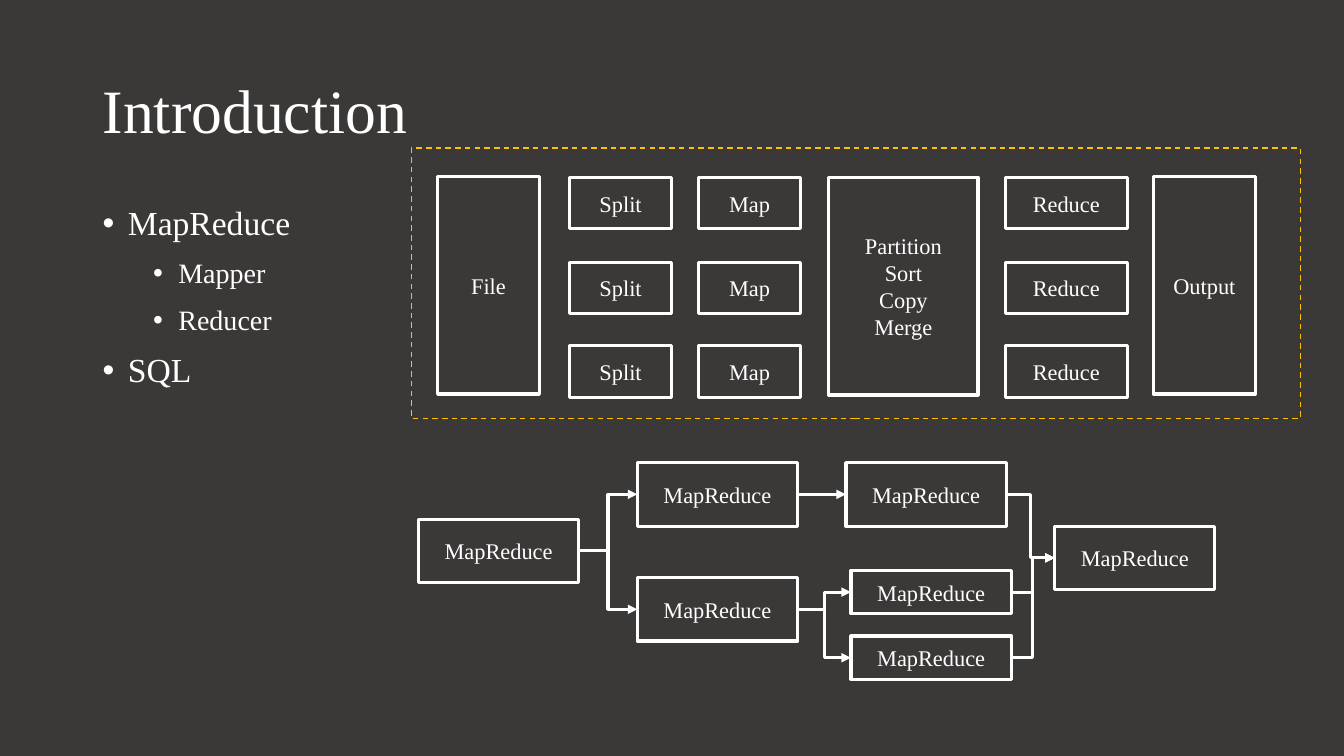
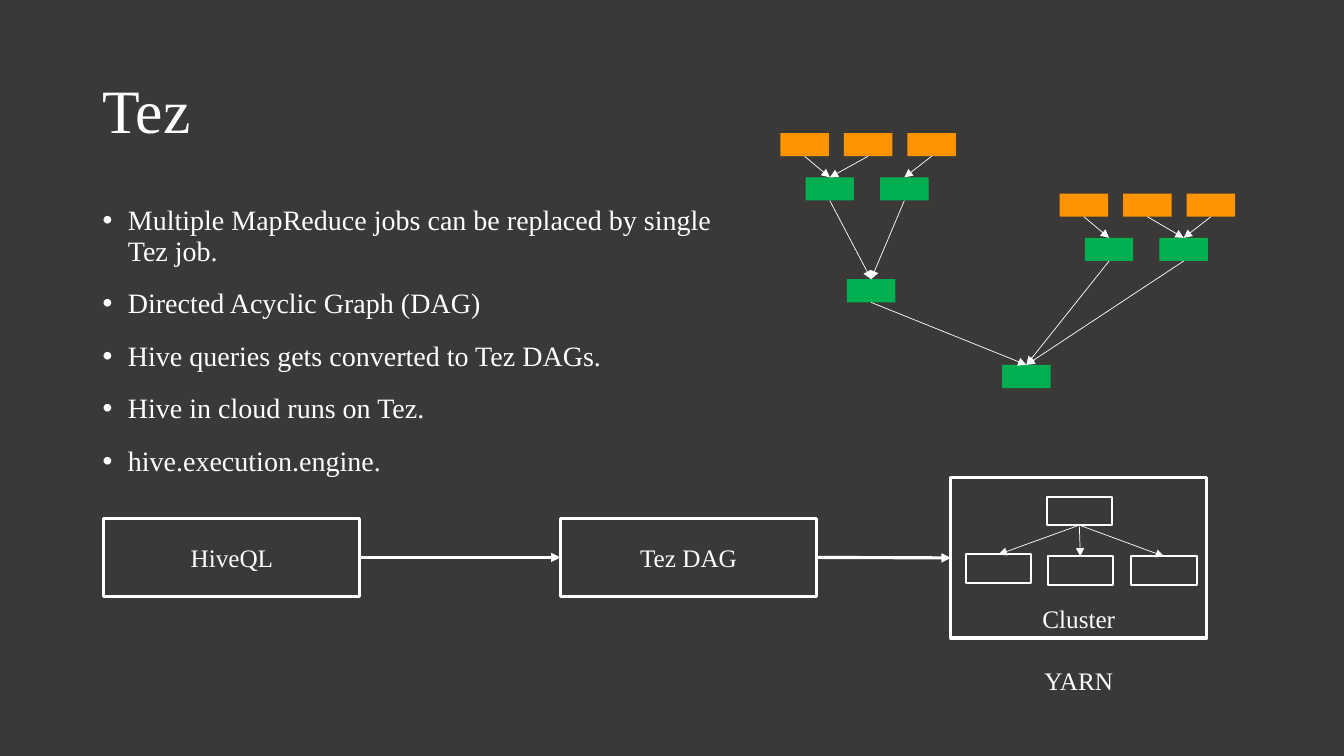
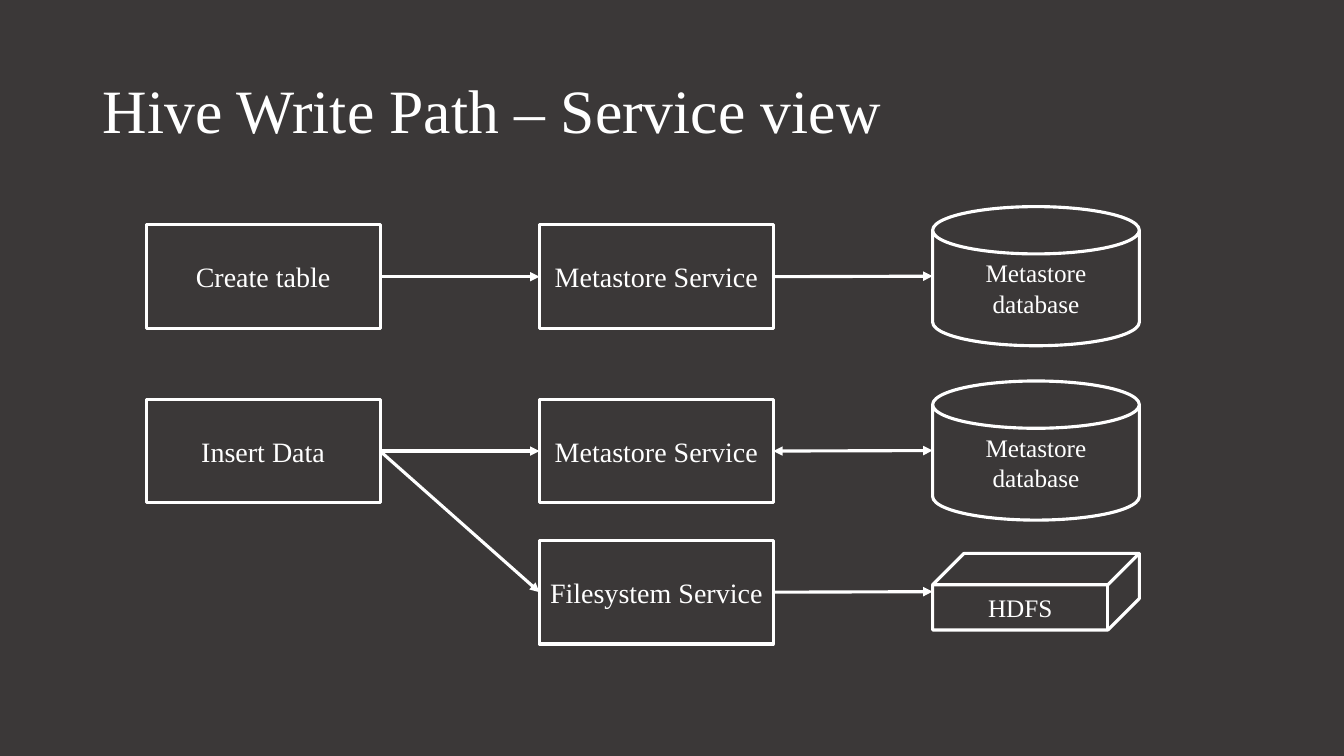
import lxml.etree
import pptx
import pptx.dml.color
import pptx.enum.dml
import pptx.enum.shapes
import pptx.enum.text
import pptx.oxml.ns
import pptx.util

PX = 9144
FONT = "Times New Roman"
DARK = pptx.dml.color.RGBColor(0x3B, 0x38, 0x38)
WHITE = pptx.dml.color.RGBColor(0xFF, 0xFF, 0xFF)
AMBER = pptx.dml.color.RGBColor(0xFF, 0xC0, 0x00)
ORANGE = pptx.dml.color.RGBColor(0xFF, 0x93, 0x00)
GREEN = pptx.dml.color.RGBColor(0x00, 0xB0, 0x50)

SHAPE = pptx.enum.shapes.MSO_SHAPE
CONNECTOR = pptx.enum.shapes.MSO_CONNECTOR
ANCHOR = pptx.enum.text.MSO_ANCHOR
CENTER = pptx.enum.text.PP_ALIGN.CENTER
TOP, LEFT, BOTTOM, RIGHT = range(4)


def px(*values):
    return [pptx.util.Emu(v * PX) for v in values]


def sub(parent, tag, **attrs):
    return lxml.etree.SubElement(parent, pptx.oxml.ns.qn(tag), attrs)


def add_run(p, text, size):
    r = p.add_run()
    r.text = text
    r.font.name = FONT
    r.font.size = pptx.util.Pt(size)
    r.font.color.rgb = WHITE


def next_paragraph(tf, index):
    return tf.add_paragraph() if index else tf.paragraphs[0]


def write_centered(tf, text, size):
    tf.word_wrap = True
    for i, line in enumerate(text.split("\n")):
        p = next_paragraph(tf, i)
        p.alignment = CENTER
        add_run(p, line, size)


def new_slide(prs, title):
    s = prs.slides.add_slide(prs.slide_layouts[6])
    s.background.fill.solid()
    s.background.fill.fore_color.rgb = DARK
    tf = s.shapes.add_textbox(*px(92, 40, 1150, 145)).text_frame
    tf.word_wrap = True
    tf.vertical_anchor = ANCHOR.MIDDLE
    tf.paragraphs[0].line_spacing = 0.9
    add_run(tf.paragraphs[0], title, 44)
    return s


def add_bullets(s, box, items, before):
    tf = s.shapes.add_textbox(*px(*box)).text_frame
    tf.word_wrap = True
    for i, (text, level, size) in enumerate(items):
        p = next_paragraph(tf, i)
        pPr = p._p.get_or_add_pPr()
        margin, hang = px(25 + 50 * level, -25)
        pPr.set("marL", str(margin))
        pPr.set("indent", str(hang))
        sub(pPr, "a:buFont", typeface="Arial")
        sub(pPr, "a:buChar", char="•")
        p.level = level
        p.line_spacing = 0.9
        p.space_before = pptx.util.Pt(before if i else 0)
        p.space_after = pptx.util.Pt(6)
        add_run(p, text, size)


def add_plain(shapes, box, kind=SHAPE.RECTANGLE):
    sp = shapes.add_shape(kind, *px(*box))
    sp.shadow.inherit = False
    return sp


def add_outline(shapes, box, text="", size=16, kind=SHAPE.RECTANGLE,
                color=WHITE, width=2.25, anchor=ANCHOR.MIDDLE):
    sp = add_plain(shapes, box, kind)
    sp.fill.background()
    sp.line.color.rgb = color
    sp.line.width = pptx.util.Pt(width)
    if text:
        sp.text_frame.vertical_anchor = anchor
        write_centered(sp.text_frame, text, size)
    return sp


def add_node(shapes, x, y, color):
    sp = add_plain(shapes, (x, y, 48, 23))
    sp.fill.solid()
    sp.fill.fore_color.rgb = color
    sp.line.fill.background()
    return sp


def side_point(sp, side):
    x = sp.left + {LEFT: 0, RIGHT: sp.width}.get(side, sp.width // 2)
    y = sp.top + {TOP: 0, BOTTOM: sp.height}.get(side, sp.height // 2)
    return x, y


def link(shapes, a, b, sides=(RIGHT, LEFT), width=2.25,
         kind=CONNECTOR.STRAIGHT, both=False):
    start, end = sides
    c = shapes.add_connector(kind, *side_point(a, start), *side_point(b, end))
    if a.auto_shape_type == SHAPE.RECTANGLE:
        c.begin_connect(a, start)
    if b.auto_shape_type == SHAPE.RECTANGLE:
        c.end_connect(b, end)
    c.line.color.rgb = WHITE
    c.line.width = pptx.util.Pt(width)
    ln = c.line._get_or_add_ln()
    if both:
        sub(ln, "a:headEnd", type="triangle")
    sub(ln, "a:tailEnd", type="triangle")
    sub(c._element.spPr, "a:effectLst")


def link_down(shapes, a, b):
    link(shapes, a, b, (BOTTOM, TOP), 0.5)


def build_introduction(prs):
    s = new_slide(prs, "Introduction")
    add_bullets(s, (92, 200, 365, 476), [
        ("MapReduce", 0, 24), ("Mapper", 1, 20),
        ("Reducer", 1, 20), ("SQL", 0, 24)], 6)

    for x, y, w, text in ((434, 175, 101, "File"),
                          (822, 176, 148, "Partition\nSort\nCopy\nMerge"),
                          (1144, 175, 101, "Output")):
        add_outline(s.shapes, (x, y, w, 216), text)
    for x, w, text in ((565, 101, "Split"), (693, 101, "Map"), (997, 121, "Reduce")):
        for y in (176, 260, 343):
            add_outline(s.shapes, (x, y, w, 51), text)
    frame = add_outline(s.shapes, (408, 147, 882, 268), color=AMBER, width=1)
    frame.line.dash_style = pptx.enum.dml.MSO_LINE.DASH

    first, upper, lower, upper_next, branch_a, branch_b, last = [
        add_outline(s.shapes, (x, y, 159, h), "MapReduce")
        for x, y, h in ((415, 515, 63), (632, 459, 63), (632, 573, 63), (839, 459, 63),
                        (844, 566, 43), (844, 631, 43), (1046, 522, 63))]
    for a, b in ((first, upper), (first, lower), (lower, branch_a), (lower, branch_b),
                 (branch_a, last), (branch_b, last), (upper_next, last)):
        link(s.shapes, a, b, kind=CONNECTOR.ELBOW)
    link(s.shapes, upper, upper_next)


def add_job(shapes, x, y, pairs):
    sources = [add_node(shapes, x + 63 * i, y, ORANGE) for i in range(3)]
    steps = [add_node(shapes, x + 25 + 74 * i, y + 44, GREEN) for i in range(2)]
    for source, step in pairs:
        link_down(shapes, sources[source], steps[step])
    return steps


def build_tez(prs):
    s = new_slide(prs, "Tez")
    lines = ("Multiple MapReduce jobs can be replaced by single Tez job.",
             "Directed Acyclic Graph (DAG)",
             "Hive queries gets converted to Tez DAGs.",
             "Hive in cloud runs on Tez.",
             "hive.execution.engine.")
    add_bullets(s, (92, 200, 667, 301), [(t, 0, 20) for t in lines], 10)

    dag = s.shapes.add_group_shape().shapes
    left_steps = add_job(dag, 774, 132, ((0, 0), (1, 0), (2, 1)))
    right_steps = add_job(dag, 1051, 192, ((0, 0), (1, 1), (2, 1)))
    merge = add_node(dag, 840, 277, GREEN)
    result = add_node(dag, 994, 362, GREEN)
    for step in left_steps:
        link_down(dag, step, merge)
    for step in right_steps + [merge]:
        link_down(dag, step, result)

    query = add_outline(s.shapes, (103, 514, 254, 78), "HiveQL", 18)
    plan = add_outline(s.shapes, (556, 514, 254, 78), "Tez DAG", 18)
    yarn = s.shapes.add_group_shape().shapes
    cluster = add_outline(yarn, (943, 474, 254, 159), "Cluster", 18, anchor=ANCHOR.BOTTOM)
    root = add_outline(yarn, (1038, 493, 65, 28), width=1.5)
    for x, y in ((958, 550), (1039, 552), (1122, 552)):
        link_down(yarn, root, add_outline(yarn, (x, y, 65, 28), width=1.5))
    link(s.shapes, query, plan)
    link(s.shapes, plan, cluster)
    label = s.shapes.add_textbox(*px(967, 655, 206, 40))
    write_centered(label.text_frame, "YARN", 18)


def build_write_path(prs):
    s = new_slide(prs, "Hive Write Path – Service view")

    def service(x, y, text):
        return add_outline(s.shapes, (x, y, 232, 103), text, 20)

    def store(y, h, text, kind, adjustment):
        sp = add_outline(s.shapes, (925, y, 205, h), text, 18, kind)
        sp.adjustments[0] = adjustment
        return sp

    create = service(145, 223, "Create table")
    insert = service(145, 396, "Insert Data")
    meta_create, meta_insert = [service(535, y, "Metastore Service") for y in (223, 396)]
    files = service(535, 536, "Filesystem Service")
    db_create, db_insert = [store(y, 138, "Metastore database", SHAPE.CAN, 0.34)
                            for y in (205, 378)]
    hdfs = store(549, 76, "HDFS", SHAPE.CUBE, 0.41)

    for a, b in ((create, meta_create), (meta_create, db_create), (insert, meta_insert),
                 (insert, files), (files, hdfs)):
        link(s.shapes, a, b)
    link(s.shapes, meta_insert, db_insert, both=True)


def main():
    prs = pptx.Presentation()
    prs.slide_width, prs.slide_height = px(1333, 750)
    build_introduction(prs)
    build_tez(prs)
    build_write_path(prs)
    prs.save("out.pptx")


if __name__ == "__main__":
    main()
